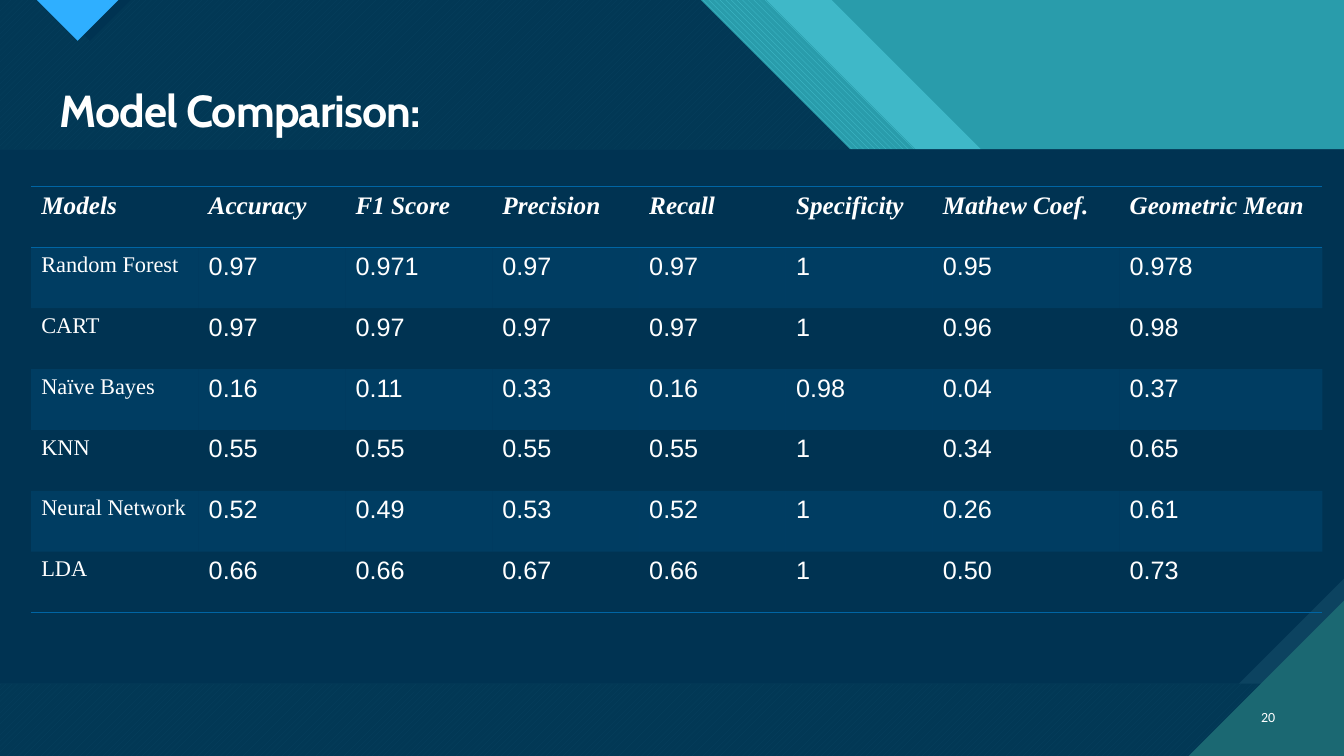
from dataclasses import dataclass

from lxml.etree import SubElement
from pptx import Presentation
from pptx.dml.color import RGBColor
from pptx.enum.dml import MSO_PATTERN
from pptx.enum.text import MSO_ANCHOR, PP_ALIGN
from pptx.oxml.ns import qn
from pptx.util import Pt

# Content
TITLE = "Model Comparison:"
PAGE_NUMBER = "20"
HEADERS = ["Models", "Accuracy", "F1 Score", "Precision", "Recall",
           "Specificity", "Mathew Coef.", "Geometric Mean"]
MODELS = [
    ["Random Forest", "0.97", "0.971", "0.97", "0.97", "1", "0.95", "0.978"],
    ["CART", "0.97", "0.97", "0.97", "0.97", "1", "0.96", "0.98"],
    ["Naïve Bayes", "0.16", "0.11", "0.33", "0.16", "0.98", "0.04", "0.37"],
    ["KNN", "0.55", "0.55", "0.55", "0.55", "1", "0.34", "0.65"],
    ["Neural Network", "0.52", "0.49", "0.53", "0.52", "1", "0.26", "0.61"],
    ["LDA", "0.66", "0.66", "0.67", "0.66", "1", "0.50", "0.73"],
]


@dataclass(frozen=True)
class Theme:
    navy: str = "003352"
    band: str = "0C4360"
    teal: str = "299CAB"
    aqua: str = "47C3D3"
    deep_teal: str = "1B6872"
    sky: str = "2FAFFF"
    blue: str = "0065A4"
    white: str = "FFFFFF"
    title_size: int = 32
    value_size: int = 18
    model_size: int = 16
    number_size: int = 10


THEME = Theme()
WIDTH, HEIGHT = 960, 540
PANEL_TOP, PANEL_BOTTOM, PANEL_SNIP = 106.8, 488.4, 75.2
TABLE_LEFT, TABLE_TOP, ROW_HEIGHT = 22.3, 133.2, 43.5
COLUMN_WIDTHS = [119.6] + [104.9] * 5 + [133.4, 144.9]
NO_STYLE_TABLE = "{2D5ABB26-0587-4C30-8999-92F81FD0307C}"


def rgb(color):
    return RGBColor.from_string(color)


def set_alpha(fill_parent, percent):
    color = fill_parent.find(qn("a:solidFill"))[0]
    SubElement(color, qn("a:alpha"), val=str(percent * 1000))


def add_polygon(slide, points, color, alpha=None, pattern=None, back=None):
    corners = [(Pt(x), Pt(y)) for x, y in points]
    builder = slide.shapes.build_freeform(*corners[0], scale=1.0)
    builder.add_line_segments(corners[1:], close=True)
    shape = builder.convert_to_shape()
    shape.shadow.inherit = False
    shape.line.fill.background()
    if pattern:
        shape.fill.patterned()
        shape.fill.pattern = pattern
        shape.fill.fore_color.rgb = rgb(color)
        shape.fill.back_color.rgb = rgb(back)
    else:
        shape.fill.solid()
        shape.fill.fore_color.rgb = rgb(color)
        if alpha:
            set_alpha(shape._element.spPr, alpha)


def write(frame, text, size, font, bold=False, italic=False):
    frame.text = text
    paragraph = frame.paragraphs[0]
    run = paragraph.runs[0]
    formats = {"size": Pt(size), "name": font, "bold": bold, "italic": italic}
    for name, value in formats.items():
        setattr(run.font, name, value)
    run.font.color.rgb = rgb(THEME.white)
    return paragraph


def add_border(cell, side):
    properties = cell._tc.get_or_add_tcPr()
    line = SubElement(properties, qn(f"a:{side}"), w=str(Pt(1)))
    fill = SubElement(line, qn("a:solidFill"))
    SubElement(fill, qn("a:srgbClr"), val=THEME.blue)


def add_background(slide):
    slide.background.fill.solid()
    slide.background.fill.fore_color.rgb = rgb(THEME.teal)

    # Layers cut at 45 degrees, each starting further left
    layers = [
        (594, {"color": THEME.aqua, "alpha": 74}),
        (547.2, {"color": THEME.aqua, "back": THEME.teal,
                 "pattern": MSO_PATTERN.WIDE_DOWNWARD_DIAGONAL}),
        (500.4, {"color": THEME.aqua, "back": THEME.deep_teal,
                 "pattern": MSO_PATTERN.WIDE_UPWARD_DIAGONAL}),
        (500.4, {"color": THEME.navy, "alpha": 90}),
    ]
    for edge, paint in layers:
        points = [(0, 0), (edge, 0), (WIDTH, WIDTH - edge), (WIDTH, HEIGHT), (0, HEIGHT)]
        add_polygon(slide, points, **paint)

    # Top marker with its dark offset
    for left, color in [(35, THEME.navy), (26.3, THEME.sky)]:
        add_polygon(slide, [(left, 0), (left + 58.4, 0), (left + 29.2, 29.2)], color)

    # Content panel over its band, then the corner
    for snip, color in [(0, THEME.band), (PANEL_SNIP, THEME.navy)]:
        points = [(0, PANEL_TOP), (WIDTH, PANEL_TOP), (WIDTH, PANEL_BOTTOM - snip),
                  (WIDTH - snip, PANEL_BOTTOM), (0, PANEL_BOTTOM)]
        add_polygon(slide, points, color)
    add_polygon(slide, [(849, HEIGHT), (WIDTH, HEIGHT), (WIDTH, 429)], THEME.deep_teal)


def add_title(slide):
    title = slide.shapes.title
    slide.shapes._spTree.append(title._element)  # in front of the background
    box = {"left": 35.3, "top": 59.8, "width": 882.7, "height": 42.5}
    for name, value in box.items():
        setattr(title, name, Pt(value))
    title.text_frame.vertical_anchor = MSO_ANCHOR.MIDDLE
    paragraph = write(title.text_frame, TITLE, THEME.title_size, "Cabin", bold=True)
    paragraph.alignment = PP_ALIGN.LEFT
    paragraph.line_spacing = 0.9
    paragraph.runs[0].font._element.set("spc", "-70")


def add_page_number(slide):
    box = slide.shapes.add_textbox(Pt(886.3), Pt(497.5), Pt(31.7), Pt(28.8))
    box.text_frame.word_wrap = True
    box.text_frame.vertical_anchor = MSO_ANCHOR.MIDDLE
    paragraph = write(box.text_frame, PAGE_NUMBER, THEME.number_size, "Calibri")
    paragraph.alignment = PP_ALIGN.RIGHT


def add_model_table(slide):
    rows = [HEADERS] + MODELS
    table = slide.shapes.add_table(
        len(rows), len(HEADERS), Pt(TABLE_LEFT), Pt(TABLE_TOP),
        Pt(sum(COLUMN_WIDTHS)), Pt(ROW_HEIGHT * len(rows))).table
    table._tbl.tblPr.find(qn("a:tableStyleId")).text = NO_STYLE_TABLE
    for column, width in zip(table.columns, COLUMN_WIDTHS):
        column.width = Pt(width)

    for row_index, row in enumerate(rows):
        table.rows[row_index].height = Pt(ROW_HEIGHT)
        is_header = row_index == 0
        for column_index, text in enumerate(row):
            cell = table.cell(row_index, column_index)
            is_model = column_index == 0 and not is_header
            size = THEME.model_size if is_model else THEME.value_size
            font = "Times New Roman" if is_header or is_model else "Arial"
            write(cell.text_frame, text, size, font, is_header, is_header)
            if is_header:
                add_border(cell, "lnT")
            if is_header or row_index == len(rows) - 1:
                add_border(cell, "lnB")
            if row_index % 2:
                cell.fill.solid()
                cell.fill.fore_color.rgb = rgb(THEME.blue)
                set_alpha(cell._tc.tcPr, 20)
            else:
                cell.fill.background()


def main():
    presentation = Presentation()
    presentation.slide_width, presentation.slide_height = Pt(WIDTH), Pt(HEIGHT)
    slide = presentation.slides.add_slide(presentation.slide_layouts[5])
    add_background(slide)
    add_title(slide)
    add_page_number(slide)
    add_model_table(slide)
    presentation.save("out.pptx")


if __name__ == "__main__":
    main()
